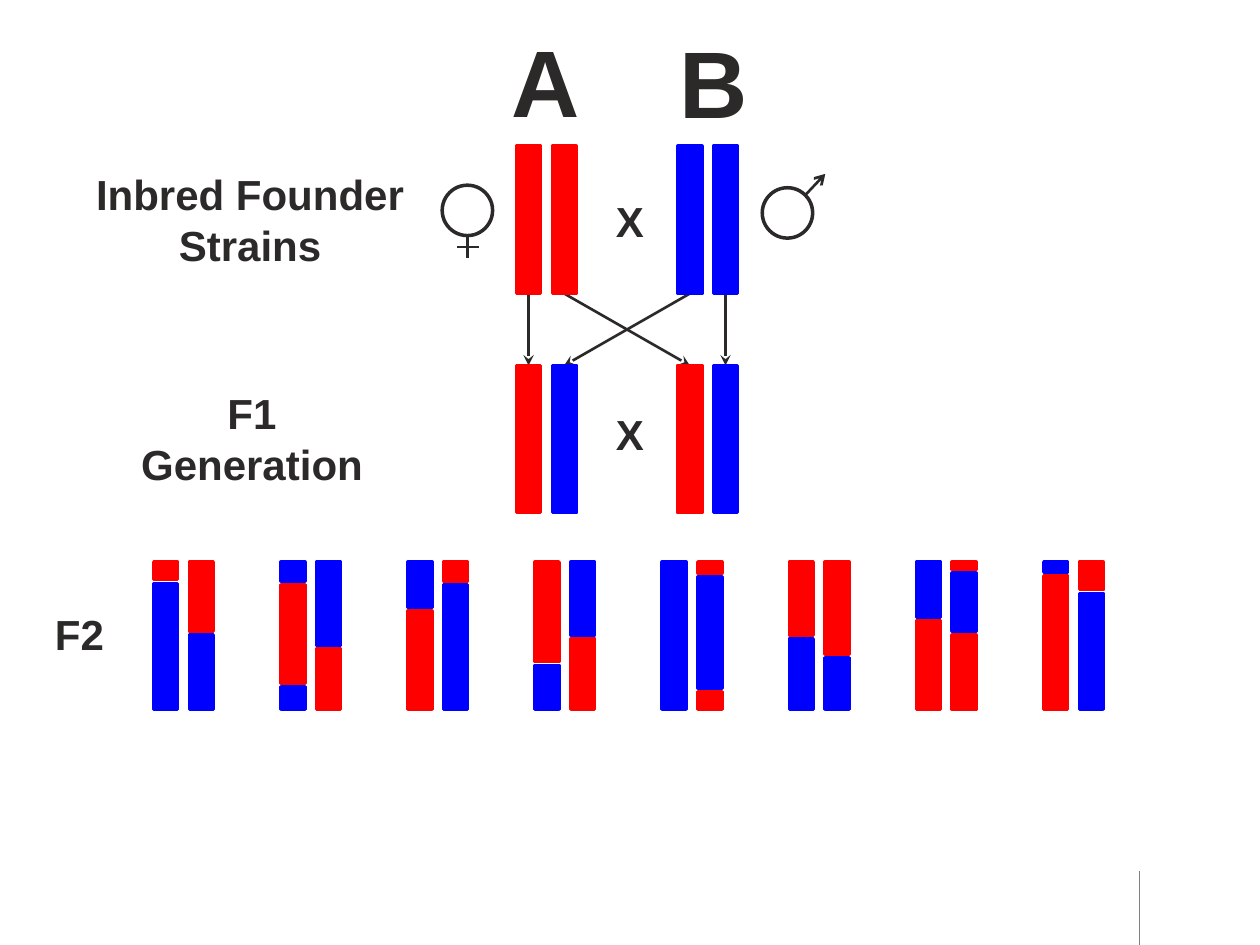
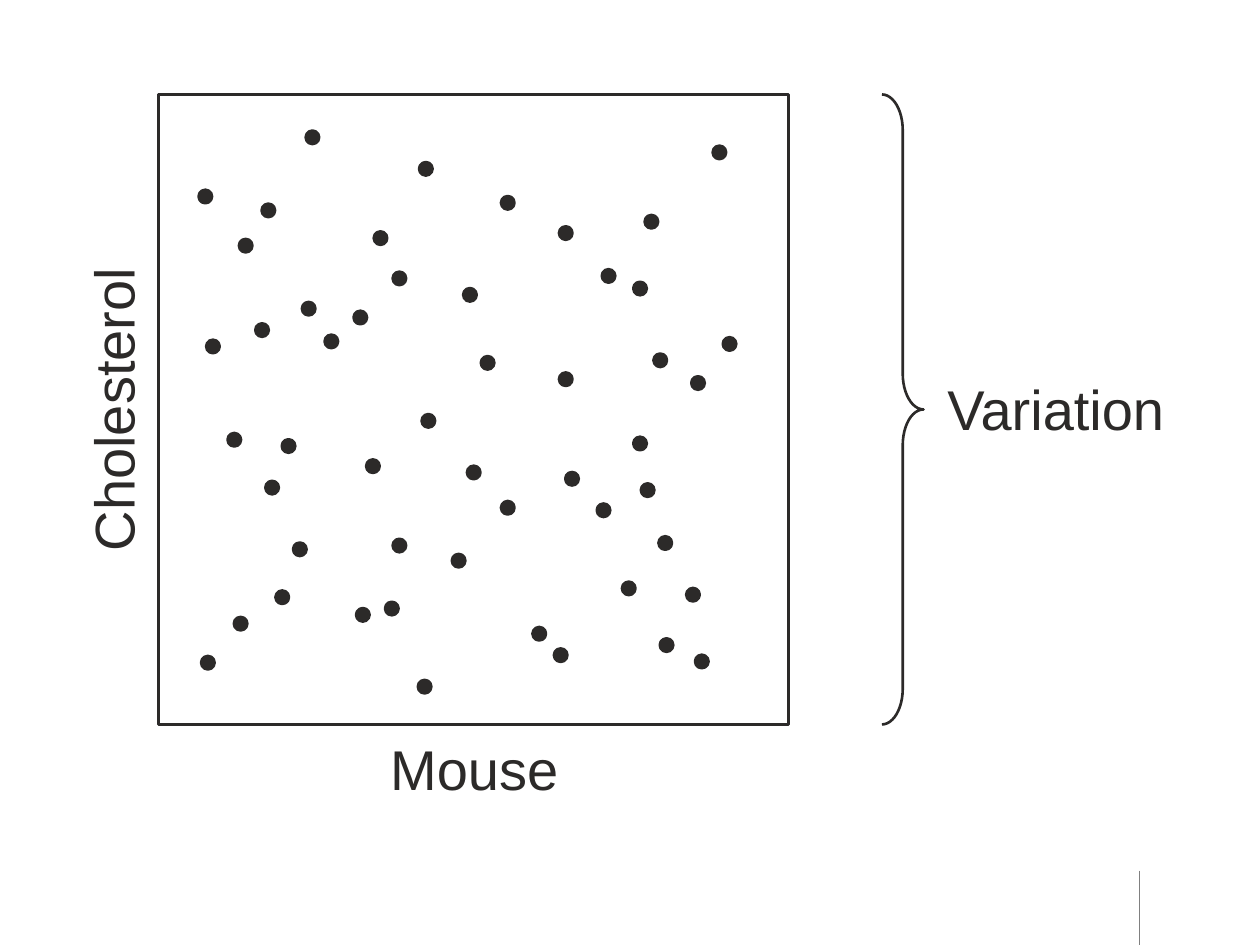
from dataclasses import dataclass

from lxml import etree
from pptx import Presentation
from pptx.dml.color import RGBColor
from pptx.enum.shapes import MSO_CONNECTOR, MSO_SHAPE
from pptx.enum.text import MSO_AUTO_SIZE, PP_ALIGN
from pptx.oxml.ns import qn
from pptx.util import Inches, Pt

RECTANGLE, OVAL, BRACE = MSO_SHAPE.RECTANGLE, MSO_SHAPE.OVAL, MSO_SHAPE.RIGHT_BRACE
STRAIGHT = MSO_CONNECTOR.STRAIGHT
CENTER, LEFT = PP_ALIGN.CENTER, PP_ALIGN.LEFT
FIT_TEXT = MSO_AUTO_SIZE.SHAPE_TO_FIT_TEXT


@dataclass(frozen=True)
class Theme:
    ink: str = "2C2A29"
    red: str = "FF0000"
    blue: str = "0000FF"
    rule: str = "808080"
    font: str = "Arial"
    strain_size: int = 54
    axis_size: int = 32
    label_size: int = 24
    thick: float = 2
    thin: float = 1.5
    hairline: float = 0.25


theme = Theme()
deck = Presentation()
deck.slide_width, deck.slide_height = Inches(10), Inches(7.5)
CELL = deck.slide_width // 100


def add_figure(shapes, kind, left, top, width, height, line, fill=None, weight=theme.thick):
    figure = shapes.add_shape(kind, *[round(n * CELL) for n in (left, top, width, height)])
    figure.shadow.inherit = False
    if fill:
        figure.fill.solid()
        figure.fill.fore_color.rgb = RGBColor.from_string(fill)
    else:
        figure.fill.background()
    figure.line.color.rgb = RGBColor.from_string(line)
    figure.line.width = Pt(weight)
    return figure


def add_line(shapes, start, end, head=None, colour=theme.ink, weight=theme.thin):
    line = shapes.add_connector(STRAIGHT, *[round(n * CELL) for n in (*start, *end)])
    line.line.color.rgb = RGBColor.from_string(colour)
    line.line.width = Pt(weight)
    if head:
        etree.SubElement(line.line._get_or_add_ln(), qn("a:tailEnd"), type=head)
    etree.SubElement(line._element.spPr, qn("a:effectLst"))


cross, scatter = [deck.slides.add_slide(deck.slide_layouts[6]) for _ in range(2)]
for page in (cross, scatter):
    add_line(page.shapes, (90.4, 69.1), (90.4, 75), colour=theme.rule, weight=theme.hairline)

BAR_WIDTH, BAR_HEIGHT, BAR_STEP, SEGMENT_GAP = 1.9, 11.7, 2.83, 0.3
FOUNDER_TOP, F1_TOP, F2_TOP = 11.6, 29, 44.6
PAIR_A, PAIR_B = 41, 53.8
F2_LEFT, F2_STEP = 12.2, 10.09

for start, end in [
    (PAIR_A + BAR_STEP, PAIR_B),
    (PAIR_A, PAIR_A),
    (PAIR_B + BAR_STEP, PAIR_B + BAR_STEP),
    (PAIR_B, PAIR_A + BAR_STEP),
]:
    middle = BAR_WIDTH / 2
    add_line(
        cross.shapes,
        (start + middle, FOUNDER_TOP + BAR_HEIGHT),
        (end + middle, F1_TOP),
        "stealth",
    )

RED, BLUE = [(theme.red, 0)], [(theme.blue, 0)]
f2_pairs = [
    ([*RED, (theme.blue, 1.7)], [*RED, (theme.blue, 5.8)]),
    ([*BLUE, (theme.red, 1.8), (theme.blue, 9.9)], [*BLUE, (theme.red, 6.9)]),
    ([*BLUE, (theme.red, 3.9)], [*RED, (theme.blue, 1.8)]),
    ([*RED, (theme.blue, 8.2)], [*BLUE, (theme.red, 6.1)]),
    (BLUE, [*RED, (theme.blue, 1.2), (theme.red, 10.3)]),
    ([*RED, (theme.blue, 6.1)], [*RED, (theme.blue, 7.6)]),
    ([*BLUE, (theme.red, 4.7)], [*RED, (theme.blue, 0.9), (theme.red, 5.8)]),
    ([*BLUE, (theme.red, 1.1)], [*RED, (theme.blue, 2.5)]),
]
pairs = [
    (PAIR_A, FOUNDER_TOP, (RED, RED)),
    (PAIR_B, FOUNDER_TOP, (BLUE, BLUE)),
    (PAIR_A, F1_TOP, (RED, BLUE)),
    (PAIR_B, F1_TOP, (RED, BLUE)),
]
pairs += [(F2_LEFT + i * F2_STEP, F2_TOP, pair) for i, pair in enumerate(f2_pairs)]

for left, top, pair in pairs:
    for side, segments in enumerate(pair):
        ends = [start - SEGMENT_GAP for _, start in segments[1:]] + [BAR_HEIGHT]
        for (colour, start), end in zip(segments, ends):
            add_figure(
                cross.shapes, RECTANGLE, left + side * BAR_STEP, top + start,
                BAR_WIDTH, end - start, colour, colour,
            )

female = cross.shapes.add_group_shape().shapes
add_figure(female, OVAL, 35.1, 14.7, 4, 4, theme.ink)
add_line(female, (37.1, 18.7), (37.1, 20.5))
add_line(female, (38, 19.6), (36.3, 19.6))
male = cross.shapes.add_group_shape().shapes
add_figure(male, OVAL, 60.5, 14.9, 4, 4, theme.ink)
add_line(male, (63.9, 15.5), (65.5, 13.8), "arrow")

PLOT_LEFT, PLOT_TOP, PLOT_SIZE, DOT = 12.6, 7.5, 50, 1
add_figure(scatter.shapes, RECTANGLE, PLOT_LEFT, PLOT_TOP, PLOT_SIZE, PLOT_SIZE, theme.ink)
mice = [
    (15.8, 15.1), (16, 52.1), (16.4, 27), (18.1, 34.4), (18.6, 49), (19, 19),
    (20.3, 25.7), (20.8, 16.2), (21.1, 38.2), (21.9, 46.9), (22.4, 34.9), (23.3, 43.1),
    (24, 24), (24.3, 10.4), (25.8, 26.6), (28.1, 24.7), (28.3, 48.3), (29.1, 36.5),
    (29.7, 18.4), (30.6, 47.8), (31.2, 21.6), (31.2, 42.8), (33.2, 54), (33.3, 12.9),
    (33.5, 32.9), (35.9, 44), (36.8, 22.9), (37.1, 37), (38.2, 28.3), (39.8, 15.6),
    (39.8, 39.8), (42.3, 49.8), (44, 51.5), (44.4, 18), (44.4, 29.6), (44.9, 37.5),
    (47.4, 40), (47.8, 21.4), (49.4, 46.2), (50.3, 22.4), (50.3, 34.7), (50.9, 38.4),
    (51.2, 17.1), (51.9, 28.1), (52.3, 42.6), (52.4, 50.7), (54.5, 46.7), (54.9, 29.9),
    (55.2, 52), (56.6, 11.6), (57.4, 26.8),
]
for left, top in mice:
    add_figure(scatter.shapes, OVAL, left, top, DOT, DOT, theme.ink, theme.ink)
brace = add_figure(
    scatter.shapes, BRACE, 70, PLOT_TOP, 3.3, PLOT_SIZE, theme.ink, weight=theme.thin
)
brace.adjustments[0] = 0.86

labels = [
    (cross, "A", 37.4, 1.3, 11.8, 10.1, theme.strain_size, CENTER, 0),
    (cross, "B", 50.7, 1.4, 11.8, 10.1, theme.strain_size, CENTER, 0),
    (cross, "Inbred Founder Strains", 5, 12.9, 29.7, 9.1, theme.label_size, CENTER, 0),
    (cross, "F1 Generation", 8.1, 30.3, 23.8, 9.1, theme.label_size, CENTER, 0),
    (cross, "X", 46.5, 15, 7, 5, theme.label_size, CENTER, 0),
    (cross, "X", 46.5, 31.9, 7, 5, theme.label_size, CENTER, 0),
    (cross, "F2", 1.4, 47.8, 9.8, 5, theme.label_size, CENTER, 0),
    (scatter, "Cholesterol", -15.9, 29.3, 49.7, 6.4, theme.axis_size, CENTER, 270),
    (scatter, "Mouse", 12.8, 57.8, 49.7, 6.4, theme.axis_size, CENTER, 0),
    (scatter, "Variation", 74.2, 29.2, 23.3, 6.4, theme.axis_size, LEFT, 0),
]
for page, text, left, top, width, height, size, align, turn in labels:
    box = page.shapes.add_textbox(*[round(n * CELL) for n in (left, top, width, height)])
    box.rotation = turn
    box.text_frame.word_wrap = True
    box.text_frame.auto_size = FIT_TEXT
    para = box.text_frame.paragraphs[0]
    para.text = text
    para.alignment = align
    para.font.name = theme.font
    para.font.size = Pt(size)
    para.font.bold = page is cross
    para.font.color.rgb = RGBColor.from_string(theme.ink)

deck.save("out.pptx")
